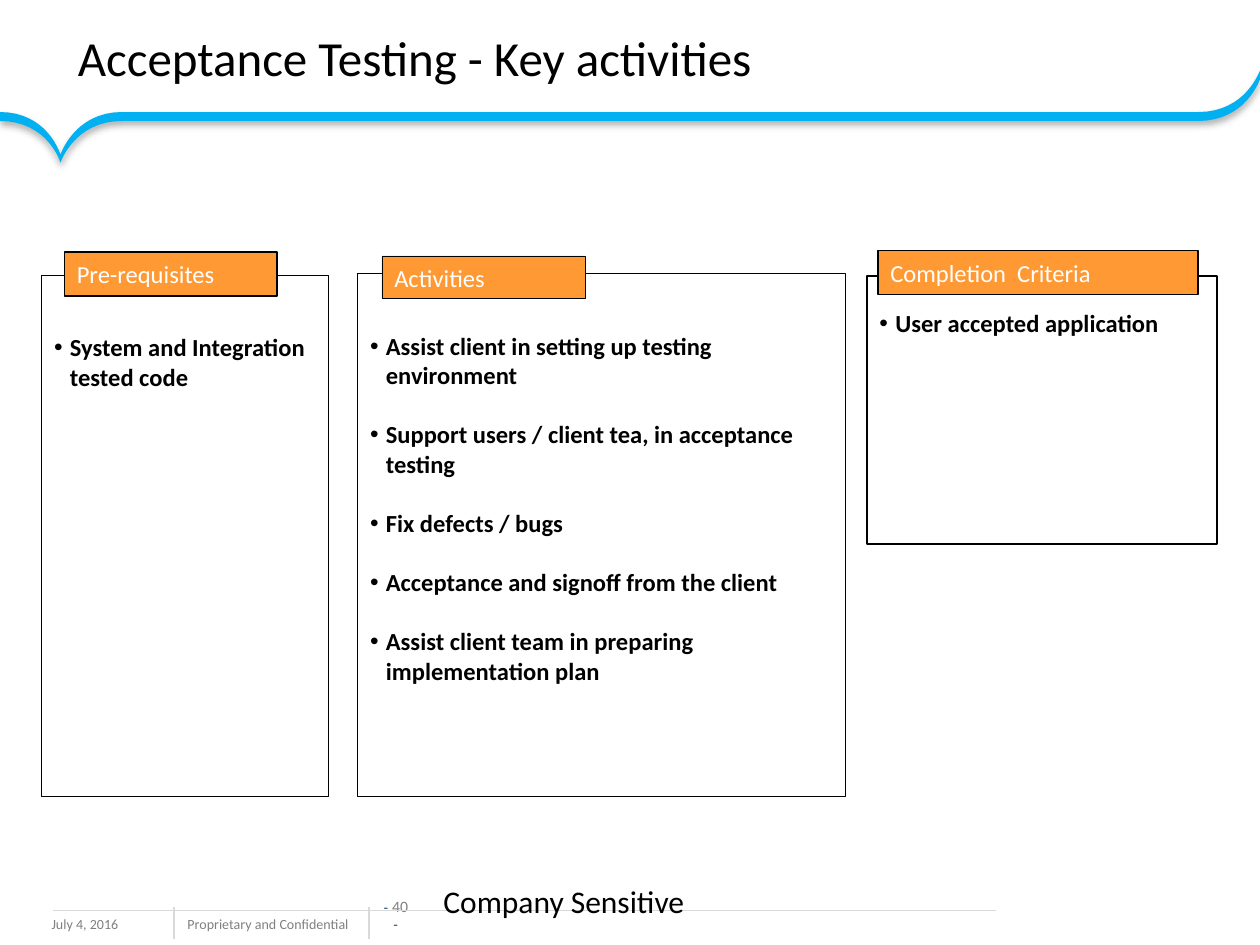
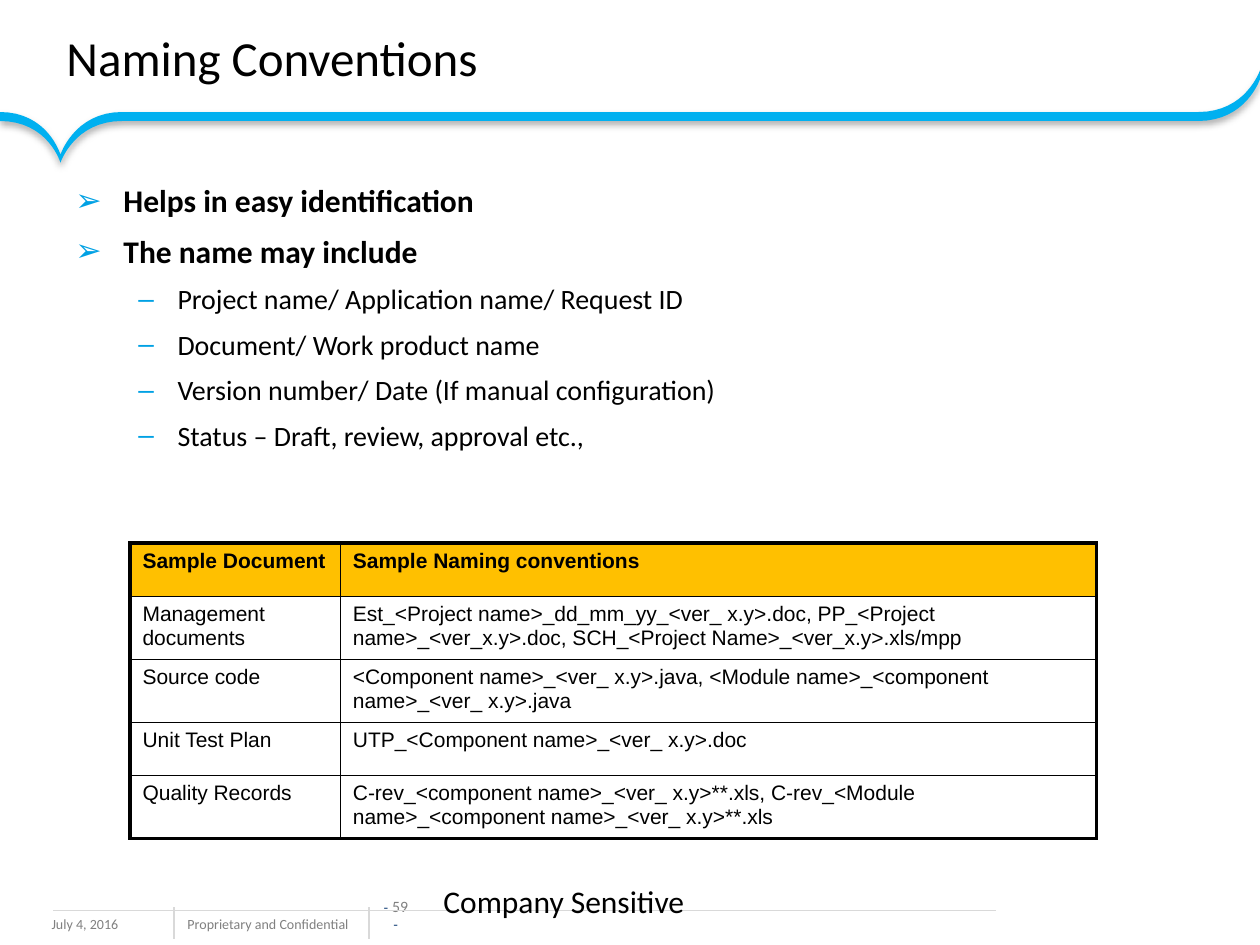
from lxml import etree
from pptx import Presentation
from pptx.dml.color import RGBColor
from pptx.enum.shapes import MSO_CONNECTOR, MSO_SHAPE
from pptx.enum.text import MSO_ANCHOR, MSO_AUTO_SIZE, PP_ALIGN
from pptx.oxml.ns import qn
from pptx.util import Cm, Pt

RECTANGLE = MSO_SHAPE.RECTANGLE
STRAIGHT = MSO_CONNECTOR.STRAIGHT
TOP, MIDDLE, BOTTOM = MSO_ANCHOR.TOP, MSO_ANCHOR.MIDDLE, MSO_ANCHOR.BOTTOM
LEFT, CENTER = PP_ALIGN.LEFT, PP_ALIGN.CENTER
NO_AUTOFIT = MSO_AUTO_SIZE.NONE

BLACK = RGBColor(0, 0, 0)
WHITE = RGBColor(255, 255, 255)
GREY = RGBColor(0x80, 0x80, 0x80)
RULE_GREY = RGBColor(0xD9, 0xD9, 0xD9)
NAVY = RGBColor(0x1F, 0x49, 0x7D)
BAND_BLUE = RGBColor(0x00, 0xB0, 0xF0)
BULLET_BLUE = RGBColor(0x00, 0xA1, 0xE4)
ORANGE = RGBColor(0xFF, 0x99, 0x33)
GOLD = RGBColor(0xFF, 0xC0, 0x00)

TITLE_FONT = {"name": "Calibri", "size": Pt(28), "color": BLACK}
TAB_FONT = {"name": "Calibri", "size": Pt(14), "color": WHITE}
PANEL_FONT = {"name": "Calibri", "size": Pt(14), "bold": True, "color": BLACK}
LABEL_FONT = {"name": "Calibri", "size": Pt(18), "color": BLACK}
FOOTER_FONT = {"name": "Calibri", "size": Pt(8), "color": GREY}
NUMBER_FONT = {"name": "Calibri", "size": Pt(9), "color": GREY}
DASH_FONT = {"name": "Arial", "size": Pt(8), "color": NAVY}

SENSITIVITY = "Company Sensitive"
FOOTER_TEXTS = [
    ("July 4, 2016", (0.79, 18.34, 3.38, 0.64)),
    ("Proprietary and Confidential", (3.53, 18.34, 3.99, 0.61)),
]
FOOTER_RULES = [
    (3.51, 18.29, 3.51, 18.92),
    (7.44, 18.29, 7.44, 18.92),
    (20.07, 18.36, 1.07, 18.36),
]
BAND_START = (24.16, 2.26)
BAND_OUTLINE = [
    (2.46, 2.26),
    (1.5, 2.26, 1.22, 3.12, 1.22, 3.12),
    (1.22, 3.12, 0.97, 2.26, 0, 2.26),
    (0, 2.44),
    (0.97, 2.44, 1.22, 3.28, 1.22, 3.28),
    (1.22, 3.28, 1.5, 2.44, 2.46, 2.44),
    (24.16, 2.44),
    (25.12, 2.44, 25.4, 1.6, 25.4, 1.6),
    (25.4, 1.42),
    (25.4, 1.42, 25.12, 2.26, 24.16, 2.26),
]
CURVE_STEPS = 16

PANELS = [
    {
        "heading": "Activities",
        "items": [
            "Assist client in setting up testing environment",
            "Support users / client tea, in acceptance testing",
            "Fix defects / bugs",
            "Acceptance and signoff from the client",
            "Assist client team in preparing implementation plan",
        ],
        "box": (7.21, 5.51, 9.83, 10.54), "box_line": 0.25, "text_top": 1.16,
        "tab": (7.7, 5.16, 4.09, 0.86), "tab_line": 0.25,
    },
    {
        "heading": "Completion  Criteria",
        "items": ["User accepted application"],
        "box": (17.48, 5.56, 7.06, 5.41), "box_line": 1, "text_top": 0.65,
        "tab": (17.7, 5.05, 6.45, 0.89), "tab_line": 1,
    },
    {
        "heading": "Pre-requisites",
        "items": ["System and Integration tested code"],
        "box": (0.84, 5.54, 5.77, 10.52), "box_line": 0.25, "text_top": 1.16,
        "tab": (1.3, 5.08, 4.29, 0.89), "tab_line": 1,
    },
]

NAMING_POINTS = [
    (0, "Helps in easy identification"),
    (0, "The name may include"),
    (1, "Project name/ Application name/ Request ID"),
    (1, "Document/ Work product name"),
    (1, "Version number/ Date (If manual configuration)"),
    (1, "Status – Draft, review, approval etc.,"),
]
POINT_LEVELS = [
    {"size": 18, "bold": True, "bullet": "➢", "margin": 0.97, "hanging": 0.97},
    {"size": 16, "bold": False, "bullet": "–", "margin": 2.06, "hanging": 0.79},
]
NAMING_TABLE = [
    ("Sample Document", "Sample Naming conventions"),
    ("Management documents",
     "Est_<Project name>_dd_mm_yy_<ver_ x.y>.doc, "
     "PP_<Project name>_<ver_x.y>.doc, SCH_<Project Name>_<ver_x.y>.xls/mpp"),
    ("Source code",
     "<Component name>_<ver_ x.y>.java, "
     "<Module name>_<component name>_<ver_ x.y>.java"),
    ("Unit Test Plan", "UTP_<Component name>_<ver_ x.y>.doc"),
    ("Quality Records",
     "C-rev_<component name>_<ver_ x.y>**.xls, "
     "C-rev_<Module name>_<component name>_<ver_ x.y>**.xls"),
]
TABLE_PLACE = (2.62, 10.95, 19.48, 5.95)
COLUMN_WIDTHS = (4.24, 15.24)
ROW_HEIGHTS = (1.07, 1.27, 1.27, 1.07, 1.27)


def lengths(values):
    return [Cm(value) for value in values]


def set_attributes(target, values):
    for name, value in values.items():
        setattr(target, name, value)


def add_run(paragraph, text, font_values):
    run = paragraph.add_run()
    run.text = text
    values = dict(font_values)
    run.font.color.rgb = values.pop("color")
    set_attributes(run.font, values)


def add_text(slide, place, text, font_values):
    box = slide.shapes.add_textbox(*lengths(place))
    box.text_frame.word_wrap = True
    add_run(box.text_frame.paragraphs[0], text, font_values)


def add_bullet(paragraph, character, margin, hanging, color):
    properties = paragraph._p.get_or_add_pPr()
    properties.set("marL", str(Cm(margin)))
    properties.set("indent", str(-Cm(hanging)))
    bullet_color = etree.SubElement(properties, qn("a:buClr"))
    etree.SubElement(bullet_color, qn("a:srgbClr"), val=str(color))
    etree.SubElement(properties, qn("a:buFont"), typeface="Arial")
    etree.SubElement(properties, qn("a:buChar"), char=character)


def next_paragraph(frame, index):
    return frame.add_paragraph() if index else frame.paragraphs[0]


def curve_points(start, curve):
    controls = [start, curve[:2], curve[2:4], curve[4:]]
    for step in range(1, CURVE_STEPS + 1):
        t = step / CURVE_STEPS
        weights = ((1 - t) ** 3, 3 * t * (1 - t) ** 2, 3 * t * t * (1 - t), t ** 3)
        yield tuple(sum(weight * point[axis] for weight, point in zip(weights, controls))
                    for axis in (0, 1))


def add_band(slide):
    points = [BAND_START]
    for part in BAND_OUTLINE:
        points += [part] if len(part) == 2 else curve_points(points[-1], part)
    builder = slide.shapes.build_freeform(*lengths(points[0]))
    builder.add_line_segments([lengths(point) for point in points[1:]], close=True)
    band = builder.convert_to_shape()
    band.fill.solid()
    band.fill.fore_color.rgb = BAND_BLUE
    band.line.fill.background()
    band.shadow.inherit = False
    effects = band._element.spPr.find(qn("a:effectLst"))
    shadow = etree.SubElement(effects, qn("a:outerShdw"), blurRad=str(Pt(4)),
                              dist=str(Pt(2)), dir="5400000", rotWithShape="0")
    shadow_color = etree.SubElement(shadow, qn("a:srgbClr"), val=str(BLACK))
    etree.SubElement(shadow_color, qn("a:alpha"), val="31000")


def add_footer(slide, number):
    for text, place in FOOTER_TEXTS:
        add_text(slide, place, text, FOOTER_FONT)
    box = slide.shapes.add_textbox(*lengths((7.65, 18.42, 0.66, 0.38)))
    set_attributes(box.text_frame, {
        "word_wrap": True, "vertical_anchor": BOTTOM, "margin_left": 0,
        "margin_top": 0, "margin_right": 0, "margin_bottom": 0})
    paragraph = box.text_frame.paragraphs[0]
    paragraph.alignment = CENTER
    add_run(paragraph, "- ", DASH_FONT)
    add_run(paragraph, f"{number} ", NUMBER_FONT)
    add_run(paragraph, "-", DASH_FONT)
    for ends in FOOTER_RULES:
        rule = slide.shapes.add_connector(STRAIGHT, *lengths(ends))
        rule.line.color.rgb = RULE_GREY
        rule.line.width = Pt(0.75)
        etree.SubElement(rule._element.spPr, qn("a:effectLst"))
    add_text(slide, (8.69, 17.65, 8.05, 1.02), SENSITIVITY, LABEL_FONT)


def add_slide(presentation, title_text, number, title_inset):
    slide = presentation.slides.add_slide(presentation.slide_layouts[5])
    add_band(slide)
    add_footer(slide, number)
    title = slide.shapes.title
    place = lengths((1.09, 0.05, 22.61, 2.21))
    set_attributes(title, dict(zip(("left", "top", "width", "height"), place)))
    set_attributes(title.text_frame, {
        "vertical_anchor": MIDDLE, "auto_size": NO_AUTOFIT,
        "margin_left": Cm(title_inset)})
    paragraph = title.text_frame.paragraphs[0]
    paragraph.alignment = LEFT
    add_run(paragraph, title_text, TITLE_FONT)
    return slide


def add_rectangle(slide, place, line_width, fill_color=None):
    shape = slide.shapes.add_shape(RECTANGLE, *lengths(place))
    shape.shadow.inherit = False
    if fill_color is None:
        shape.fill.background()
    else:
        shape.fill.solid()
        shape.fill.fore_color.rgb = fill_color
    shape.line.color.rgb = BLACK
    shape.line.width = Pt(line_width)
    return shape.text_frame


def add_panel(slide, panel):
    frame = add_rectangle(slide, panel["box"], panel["box_line"])
    set_attributes(frame, {"word_wrap": True, "vertical_anchor": TOP,
                           "margin_top": Cm(panel["text_top"])})
    for index, item in enumerate(panel["items"]):
        paragraph = next_paragraph(frame, index)
        set_attributes(paragraph, {"alignment": LEFT, "space_after": Pt(17)})
        add_bullet(paragraph, "•", 0.32, 0.32, BLACK)
        add_run(paragraph, item, PANEL_FONT)
    frame = add_rectangle(slide, panel["tab"], panel["tab_line"], ORANGE)
    set_attributes(frame, {"word_wrap": True, "vertical_anchor": MIDDLE})
    frame.paragraphs[0].alignment = LEFT
    add_run(frame.paragraphs[0], panel["heading"], TAB_FONT)


def add_naming_points(slide):
    frame = slide.shapes.add_textbox(*lengths((1.27, 3.38, 22.86, 7))).text_frame
    frame.word_wrap = True
    for index, (level, text) in enumerate(NAMING_POINTS):
        style = POINT_LEVELS[level]
        paragraph = next_paragraph(frame, index)
        set_attributes(paragraph, {"level": level, "line_spacing": 1.2,
                                   "space_before": Pt(3)})
        add_bullet(paragraph, style["bullet"], style["margin"], style["hanging"],
                   BULLET_BLUE)
        add_run(paragraph, text, {"name": "Calibri", "size": Pt(style["size"]),
                                  "bold": style["bold"], "color": BLACK})


def set_borders(cell, widths):
    properties = cell._tc.get_or_add_tcPr()
    for index, (side, width) in enumerate(widths.items()):
        border = etree.Element(qn(f"a:ln{side}"), w=str(Pt(width)))
        fill = etree.SubElement(border, qn("a:solidFill"))
        etree.SubElement(fill, qn("a:srgbClr"), val=str(BLACK))
        properties.insert(index, border)


def add_naming_table(slide):
    last_row, last_column = len(NAMING_TABLE) - 1, len(COLUMN_WIDTHS) - 1
    table = slide.shapes.add_table(last_row + 1, last_column + 1,
                                   *lengths(TABLE_PLACE)).table
    table.horz_banding = False
    for column, width in zip(table.columns, COLUMN_WIDTHS):
        column.width = Cm(width)
    for row, height in zip(table.rows, ROW_HEIGHTS):
        row.height = Cm(height)
    for row_index, texts in enumerate(NAMING_TABLE):
        is_header = row_index == 0
        for column_index, text in enumerate(texts):
            cell = table.cell(row_index, column_index)
            if is_header:
                cell.fill.solid()
                cell.fill.fore_color.rgb = GOLD
            else:
                cell.fill.background()
            add_run(cell.text_frame.paragraphs[0], text, {
                "name": "Arial", "size": Pt(12), "bold": is_header, "color": BLACK})
            outer = {"L": column_index == 0, "R": column_index == last_column,
                     "T": is_header, "B": row_index == last_row}
            set_borders(cell, {side: 2.25 if edge else 1 for side, edge in outer.items()})


def main():
    presentation = Presentation()
    presentation.slide_width, presentation.slide_height = lengths((25.4, 19.05))
    slide = add_slide(presentation, "Acceptance Testing - Key activities", 40, 0.48)
    for panel in PANELS:
        add_panel(slide, panel)
    slide = add_slide(presentation, "Naming Conventions", 59, 0.25)
    add_naming_points(slide)
    add_naming_table(slide)
    presentation.save("out.pptx")


if __name__ == "__main__":
    main()
